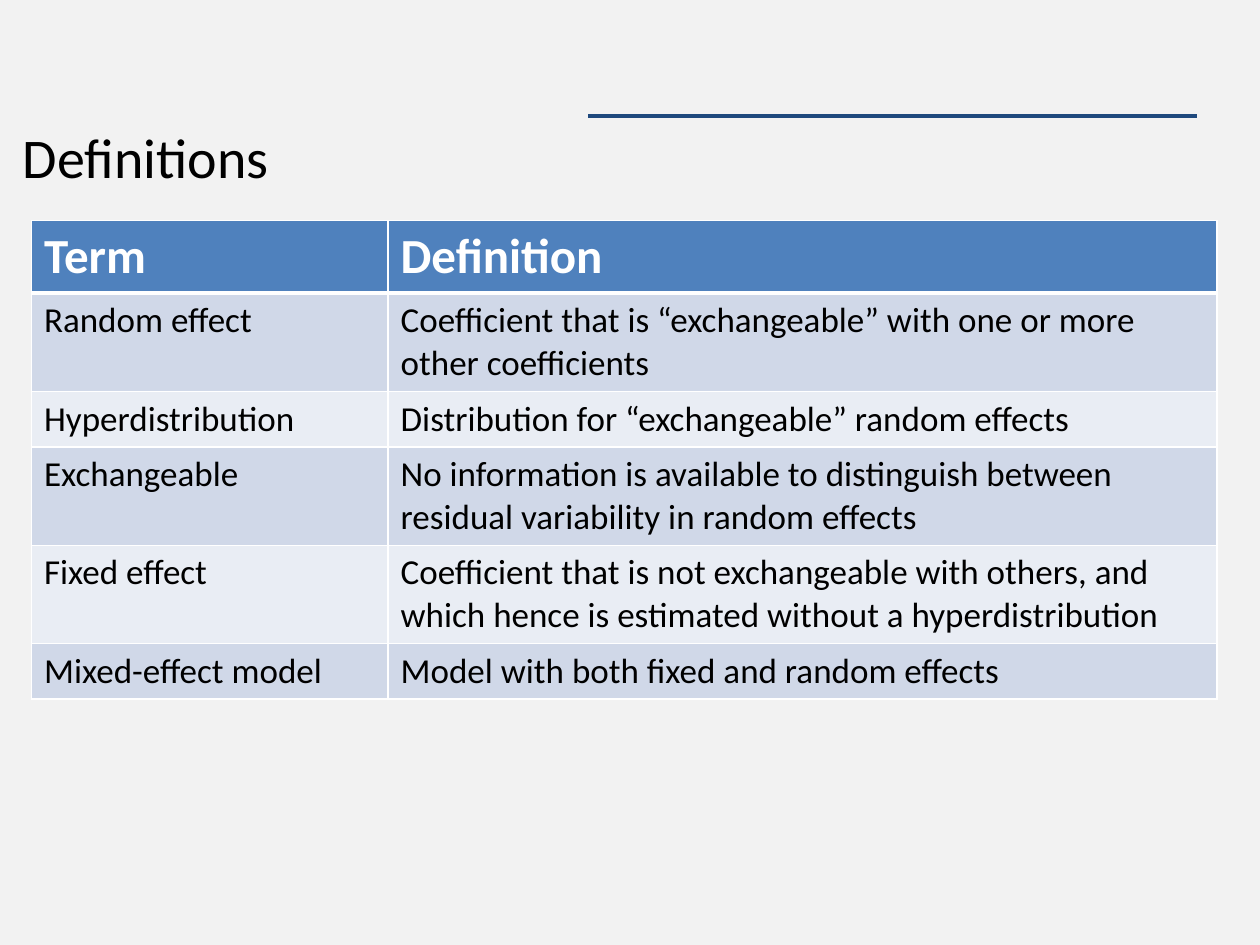
from pptx import Presentation
from pptx.dml.color import RGBColor as RGB
from pptx.enum.shapes import MSO_CONNECTOR as Conn
from pptx.enum.text import MSO_ANCHOR as Anchor, MSO_AUTO_SIZE as Fit, PP_ALIGN as Align
from pptx.oxml.ns import qn
from pptx.util import Inches, Pt
from lxml.etree import SubElement as Sub

WIDE, HIGH = 10, 7.5
FONT = "Calibri"
PAPER = RGB(0xF2, 0xF2, 0xF2)
NAVY = RGB(0x1F, 0x49, 0x7D)
BLUE = RGB(0x4F, 0x81, 0xBD)
BANDS = RGB(0xD0, 0xD8, 0xE8), RGB(0xE9, 0xED, 0xF4)
BLACK = RGB(0, 0, 0)
WHITE = RGB(255, 255, 255)

COLS = 2.83, 6.58
ROW = 0.41
TERMS = [
    ("Term", "Definition"),
    ("Random effect",
     "Coefficient that is “exchangeable” with one or more other coefficients"),
    ("Hyperdistribution", "Distribution for “exchangeable” random effects"),
    ("Exchangeable",
     "No information is available to distinguish between residual variability in random effects"),
    ("Fixed effect",
     "Coefficient that is not exchangeable with others, and which hence is estimated "
     "without a hyperdistribution"),
    ("Mixed-effect model", "Model with both fixed and random effects"),
]


def write(frame, text, size=20, color=BLACK, bold=False, gap=0):
    """Put one left-aligned paragraph of formatted text in a frame."""
    par = frame.paragraphs[0]
    par.alignment = Align.LEFT
    par.space_before = par.space_after = Pt(gap)
    run = par.add_run()
    run.text = text
    font = run.font
    font.name, font.size, font.bold = FONT, Pt(size), bold
    font.color.rgb = color


def place(shape, left, top, width, height):
    """Set a shape's position and size in inches."""
    shape.left, shape.top = Inches(left), Inches(top)
    shape.width, shape.height = Inches(width), Inches(height)


def add_title(slide, text):
    """Fill the title placeholder, anchored at its top left."""
    title = slide.shapes.title
    place(title, 0.08, 0.92, 9.83, 6.5)
    frame = title.text_frame
    frame.word_wrap = True
    frame.auto_size = Fit.NONE
    frame.vertical_anchor = Anchor.TOP
    write(frame, text, size=32, gap=6)


def add_rule(slide, left, right, top):
    """Draw a flat horizontal rule."""
    rule = slide.shapes.add_connector(
        Conn.STRAIGHT, Inches(left), Inches(top), Inches(right), Inches(top))
    rule.line.color.rgb = NAVY
    rule.line.width = Pt(2)
    Sub(rule._element.spPr, qn("a:effectLst"))


def edge(cell, **widths):
    """Give a cell white borders, with widths in points by side."""
    props = cell._tc.get_or_add_tcPr()
    for side in "LRTB":
        line = Sub(props, qn("a:ln" + side), w=str(Pt(widths.get(side, 1))))
        Sub(Sub(line, qn("a:solidFill")), qn("a:srgbClr"), val=str(WHITE))


def add_grid(slide, rows, left, top):
    """Add the banded table, its first row as header."""
    shape = slide.shapes.add_table(
        len(rows), len(COLS), Inches(left), Inches(top),
        Inches(sum(COLS)), Inches(ROW * len(rows)))
    table = shape.table
    for col, width in zip(table.columns, COLS):
        col.width = Inches(width)
    for r, texts in enumerate(rows):
        table.rows[r].height = Inches(ROW)
        for c, text in enumerate(texts):
            cell = table.cell(r, c)
            edge(cell, T=3 if r == 1 else 1, B=3 if r == 0 else 1)
            cell.fill.solid()
            cell.fill.fore_color.rgb = BANDS[(r - 1) % 2] if r else BLUE
            look = {} if r else dict(size=28, color=WHITE, bold=True)
            write(cell.text_frame, text, **look)


def main():
    """Build and save the slide."""
    deck = Presentation()
    deck.slide_width, deck.slide_height = Inches(WIDE), Inches(HIGH)
    slide = deck.slides.add_slide(deck.slide_layouts.get_by_name("Title Only"))
    back = slide.background.fill
    back.solid()
    back.fore_color.rgb = PAPER
    add_rule(slide, 4.67, 9.5, 0.92)
    add_title(slide, "Definitions")
    add_grid(slide, TERMS, 0.25, 1.75)
    deck.save("out.pptx")


main()
